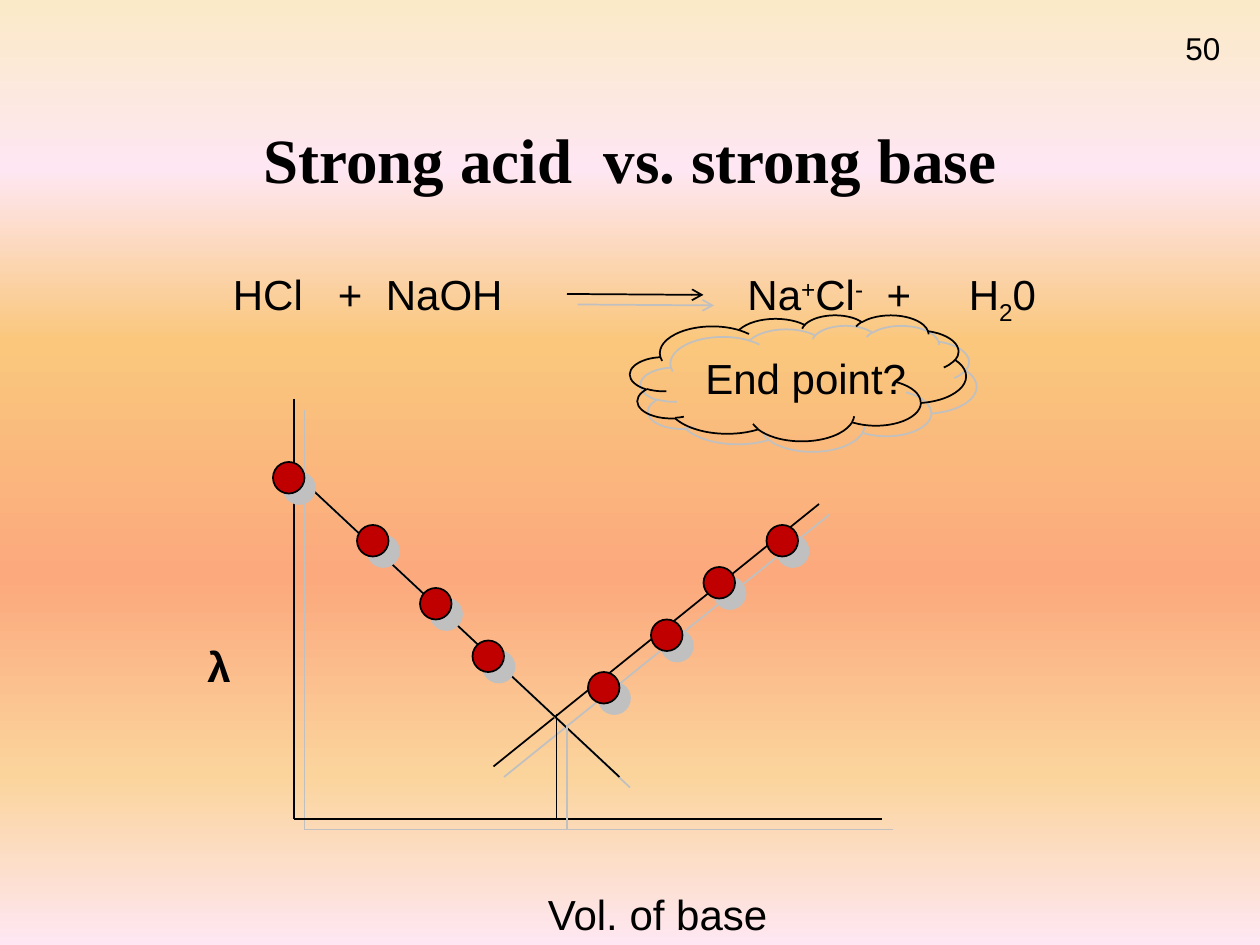
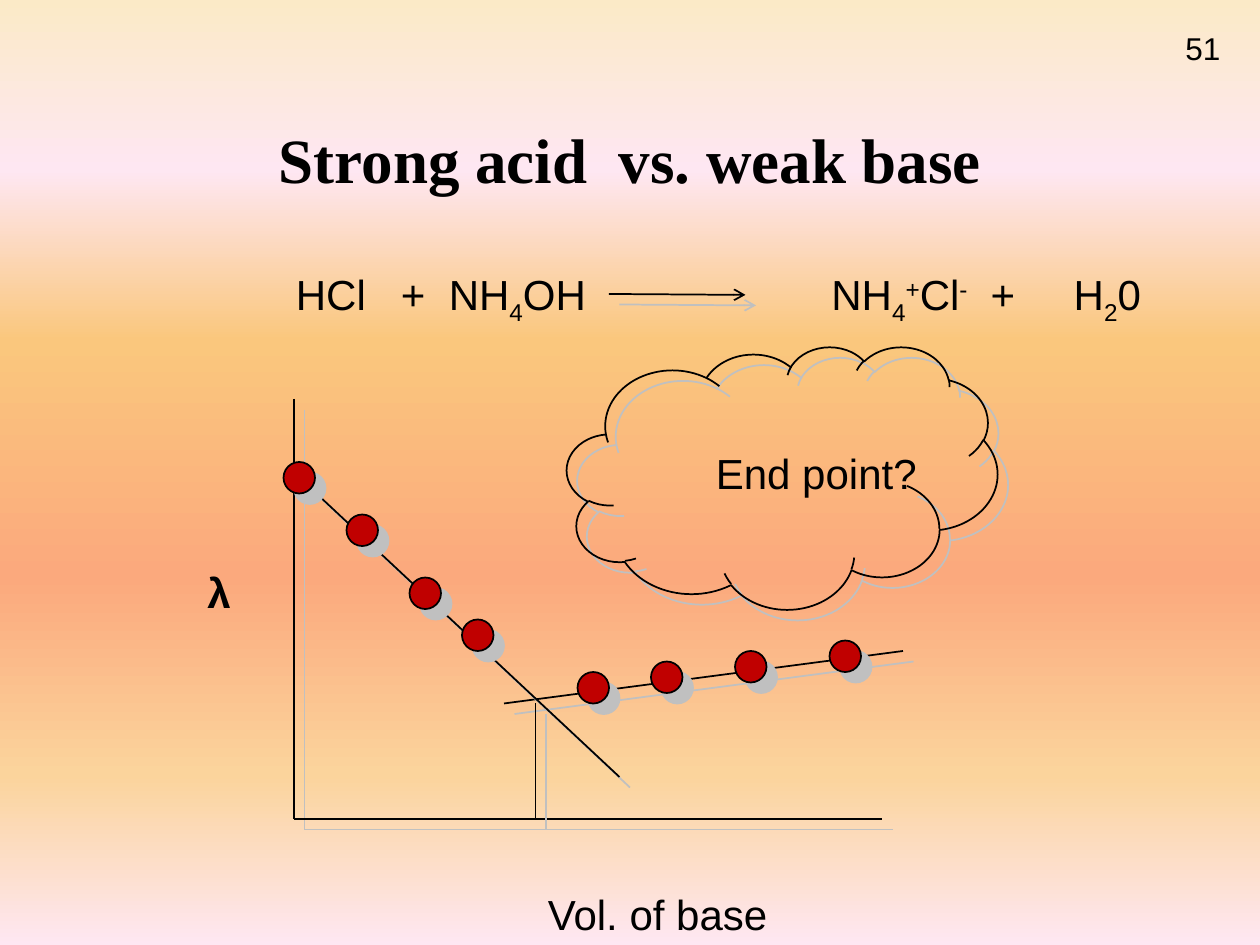
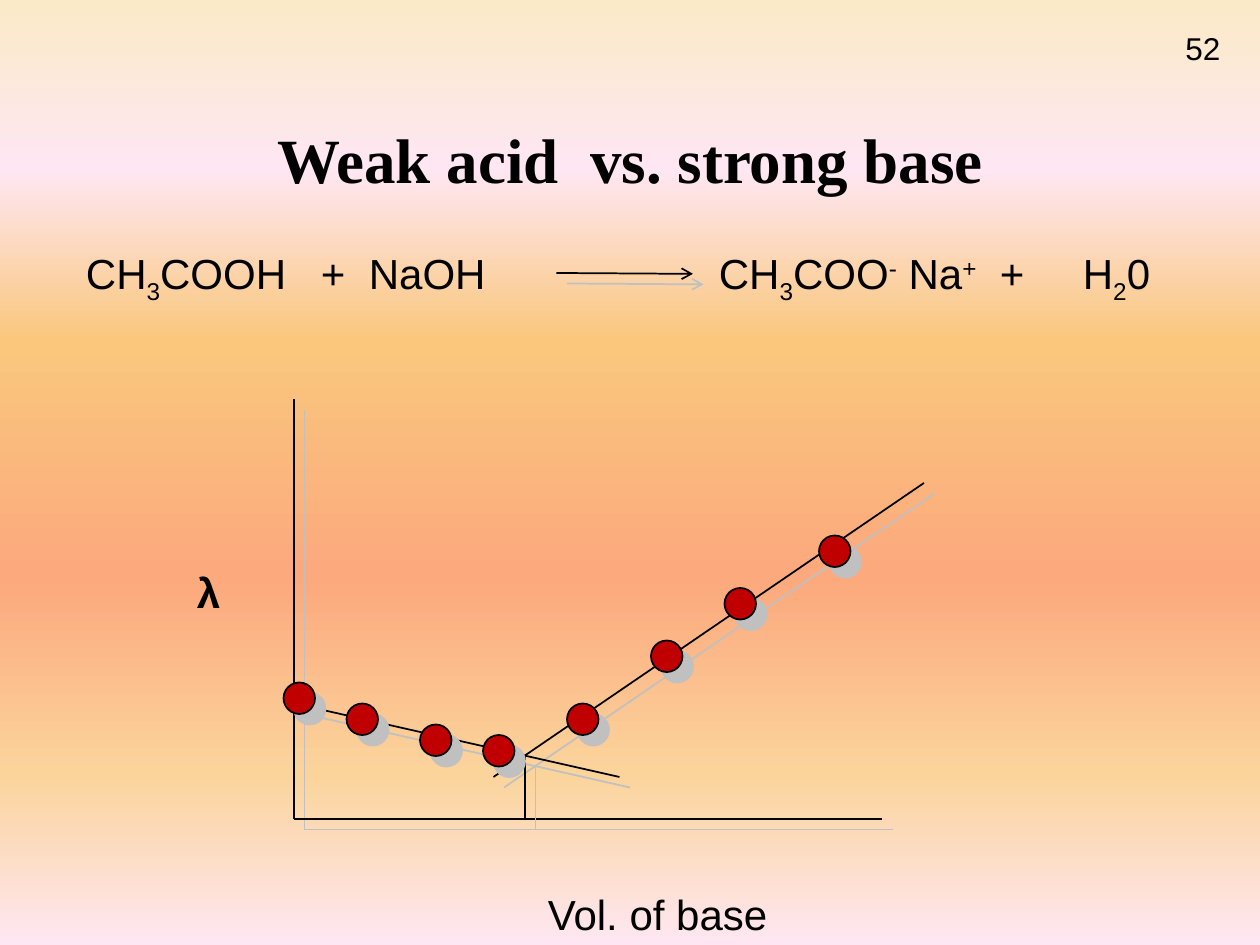
from dataclasses import dataclass
from typing import NamedTuple, Optional

from lxml import etree
from pptx import Presentation
from pptx.dml.color import RGBColor
from pptx.enum.shapes import MSO_CONNECTOR as Connector, MSO_SHAPE as Shape
from pptx.enum.text import MSO_ANCHOR as Anchor, MSO_AUTO_SIZE as AutoSize, PP_ALIGN as Align
from pptx.oxml.ns import qn
from pptx.util import Pt

# Shared look
BLACK, RED, GREY = "000000", "C00000", "C0C0C0"
SANS, SERIF = "Arial", "Times New Roman"
BACKGROUND = [(0, "FBEAC7"), (18, "FEE7F2"), (36, "FAC77D"),
              (61, "FBA97D"), (82, "FBD49C"), (100, "FEE7F2")]
SUB, SUPER = -25, 30
FIRST_NUMBER = 50

# Axes shared by the titration curves, in points
ORIGIN_X, ORIGIN_Y = 168, 468
AXIS_TOP, AXIS_RIGHT = 228, 504
DOT = 18
ARROW_LENGTH = 78


class Point(NamedTuple):
    x: float
    y: float


class Box(NamedTuple):
    x: float
    y: float
    w: float
    h: float


class Term(NamedTuple):
    text: str
    shift: int = 0


@dataclass
class Equation:
    box: Box
    tabs: list[float]
    terms: list[Term]
    arrow: Point


@dataclass
class Titration:
    title: str
    body: Box
    equation: Equation
    acid_start: Point
    acid_end: Point
    base_start: Point
    base_end: Point
    end_point: Point
    dots: list[Point]
    cloud: Optional[Box] = None
    question: Optional[Point] = None


WATER = [Term("\t+\tH"), Term("2", SUB), Term("0")]

TITRATIONS = [
    Titration(
        "Strong acid  vs. strong base",
        Box(78, 198, 588, 312),
        Equation(
            Box(126, 150, 505, 36), [60, 87.4, 294, 373.5, 420.5],
            [Term("HCl\t+\tNaOH\tNa"), Term("+", SUPER), Term("Cl"), Term("-", SUPER), *WATER],
            Point(324, 168)),
        Point(168, 270), Point(354, 444), Point(468, 288), Point(282, 438), Point(318, 408),
        [Point(156, 264), Point(204, 300), Point(240, 336), Point(270, 366),
         Point(336, 384), Point(372, 354), Point(402, 324), Point(438, 300)],
        Box(360, 180, 192, 72), Point(396, 198)),
    Titration(
        "Strong acid  vs. weak base",
        Box(78, 156, 588, 354),
        Equation(
            Box(162, 150, 518, 36), [60, 87.4, 306, 397, 444.5],
            [Term("HCl\t+\tNH"), Term("4", SUB), Term("OH\tNH"), Term("4", SUB),
             Term("+", SUPER), Term("Cl"), Term("-", SUPER), *WATER],
            Point(348, 168)),
        Point(168, 270), Point(354, 444), Point(516, 372), Point(288, 402), Point(306, 402),
        [Point(162, 264), Point(198, 294), Point(234, 330), Point(264, 354),
         Point(330, 384), Point(372, 378), Point(420, 372), Point(474, 366)],
        Box(324, 198, 246, 150), Point(402, 252)),
    Titration(
        "Weak acid  vs. strong base",
        Box(72, 156, 588, 354),
        Equation(
            Box(42, 138, 647, 36), [134.3, 161.7, 361.7, 522.3, 569.7],
            [Term("CH"), Term("3", SUB), Term("COOH\t+\tNaOH\tCH"), Term("3", SUB),
             Term("COO"), Term("-", SUPER), Term(" Na"), Term("+", SUPER), *WATER],
            Point(318, 156)),
        Point(168, 402), Point(354, 444), Point(528, 276), Point(282, 444), Point(300, 432),
        [Point(162, 390), Point(198, 402), Point(240, 414), Point(276, 420),
         Point(324, 402), Point(372, 366), Point(414, 336), Point(468, 306)]),
]


def rgb(color: str) -> RGBColor:
    return RGBColor.from_string(color)


def add_xml(parent, tag: str, **attrs):
    """Append a DrawingML element to parent."""
    return etree.SubElement(parent, qn(f"a:{tag}"), {k: str(v) for k, v in attrs.items()})


def paint_background(master) -> None:
    fill = master.background.fill
    fill.gradient()
    fill.gradient_angle = 270
    stops = next(master.element.iter(qn("a:gsLst")))
    for stop in list(stops):
        stops.remove(stop)
    for percent, color in BACKGROUND:
        add_xml(add_xml(stops, "gs", pos=percent * 1000), "srgbClr", val=color)


def place(sp, box: Box) -> None:
    sp.left, sp.top, sp.width, sp.height = (Pt(v) for v in box)


def add_run(p, text: str, size: float = 24, font: str = SANS, bold: bool = False,
            shift: int = 0) -> None:
    r = p.add_run()
    r.text = text
    r.font.size, r.font.name, r.font.bold = Pt(size), font, bold
    r.font.color.rgb = rgb(BLACK)
    if shift:
        r._r.get_or_add_rPr().set("baseline", str(shift * 1000))


def add_text(s, box: Box, terms: list[Term], size: float = 24, wrap: bool = False):
    sp = s.shapes.add_textbox(*(Pt(v) for v in box))
    tf = sp.text_frame
    tf.word_wrap = wrap
    p = tf.paragraphs[0]
    for term in terms:
        add_run(p, term.text, size, shift=term.shift)
    return p


def outline(sp) -> None:
    """Thin black line with a hard grey shadow."""
    sp.line.color.rgb = rgb(BLACK)
    sp.line.width = Pt(1)
    effects = add_xml(sp.element.spPr, "effectLst")
    shadow = add_xml(effects, "outerShdw", dist=Pt(8.5), dir=45 * 60000, algn="ctr", rotWithShape=0)
    add_xml(shadow, "srgbClr", val=GREY)


def add_line(s, start: Point, end: Point, arrow: bool = False) -> None:
    line = s.shapes.add_connector(Connector.STRAIGHT, *(Pt(v) for v in (*start, *end)))
    outline(line)
    if arrow:
        add_xml(line.element.spPr.find(qn("a:ln")), "tailEnd", type="arrow")


def add_outlined(s, kind: Shape, box: Box, fill: Optional[str] = None) -> None:
    sp = s.shapes.add_shape(kind, *(Pt(v) for v in box))
    if fill:
        sp.fill.solid()
        sp.fill.fore_color.rgb = rgb(fill)
    else:
        sp.fill.background()
    outline(sp)


def fill_placeholders(s, t: Titration) -> None:
    title, body = s.shapes.title, s.placeholders[1]

    place(title, Box(78, 48, 564, 90))
    tf = title.text_frame
    tf.auto_size, tf.vertical_anchor = AutoSize.NONE, Anchor.MIDDLE
    p = tf.paragraphs[0]
    p.alignment, p.line_spacing = Align.CENTER, 0.9
    add_run(p, t.title, 36, SERIF, True)

    # Label of the vertical axis
    place(body, t.body)
    tf = body.text_frame
    tf.auto_size, tf.vertical_anchor = AutoSize.NONE, Anchor.TOP
    tf.margin_left, tf.margin_top = Pt(40.5), Pt(171)
    p = tf.paragraphs[0]
    p.line_spacing, p.space_before = 0.9, Pt(0)
    pPr = p._p.get_or_add_pPr()
    pPr.set("marL", "0")
    pPr.set("indent", "0")
    add_xml(pPr, "buNone")
    add_run(p, "λ", bold=True)


def add_equation(s, eq: Equation) -> None:
    p = add_text(s, eq.box, eq.terms, wrap=True)
    tabs = add_xml(p._p.get_or_add_pPr(), "tabLst")
    for pos in eq.tabs:
        add_xml(tabs, "tab", pos=Pt(pos), algn="l")
    add_line(s, eq.arrow, Point(eq.arrow.x + ARROW_LENGTH, eq.arrow.y + 0.5), arrow=True)


def add_curve(s, t: Titration) -> None:
    origin = Point(ORIGIN_X, ORIGIN_Y)
    add_line(s, Point(ORIGIN_X, AXIS_TOP), origin)
    add_line(s, t.base_start, t.base_end)
    add_line(s, origin, Point(AXIS_RIGHT, ORIGIN_Y))
    add_line(s, t.acid_start, t.acid_end)
    add_line(s, t.end_point, Point(t.end_point.x, ORIGIN_Y))
    add_text(s, Box(306, 504, 141, 36), [Term("Vol. of base")])


def build_slide(prs, number: int, t: Titration) -> None:
    s = prs.slides.add_slide(prs.slide_layouts[1])
    add_text(s, Box(670.3, 13, 36, 29), [Term(str(number))], 18)
    fill_placeholders(s, t)
    add_curve(s, t)
    add_equation(s, t.equation)
    for dot in t.dots:
        add_outlined(s, Shape.OVAL, Box(*dot, DOT, DOT), RED)
    if t.cloud and t.question:
        add_outlined(s, Shape.CLOUD, t.cloud)
        add_text(s, Box(*t.question, 130, 36), [Term("End point?")])


def main() -> None:
    prs = Presentation()
    prs.slide_width, prs.slide_height = Pt(720), Pt(540)
    paint_background(prs.slide_master)
    for number, titration in enumerate(TITRATIONS, FIRST_NUMBER):
        build_slide(prs, number, titration)
    prs.save("out.pptx")


if __name__ == "__main__":
    main()
